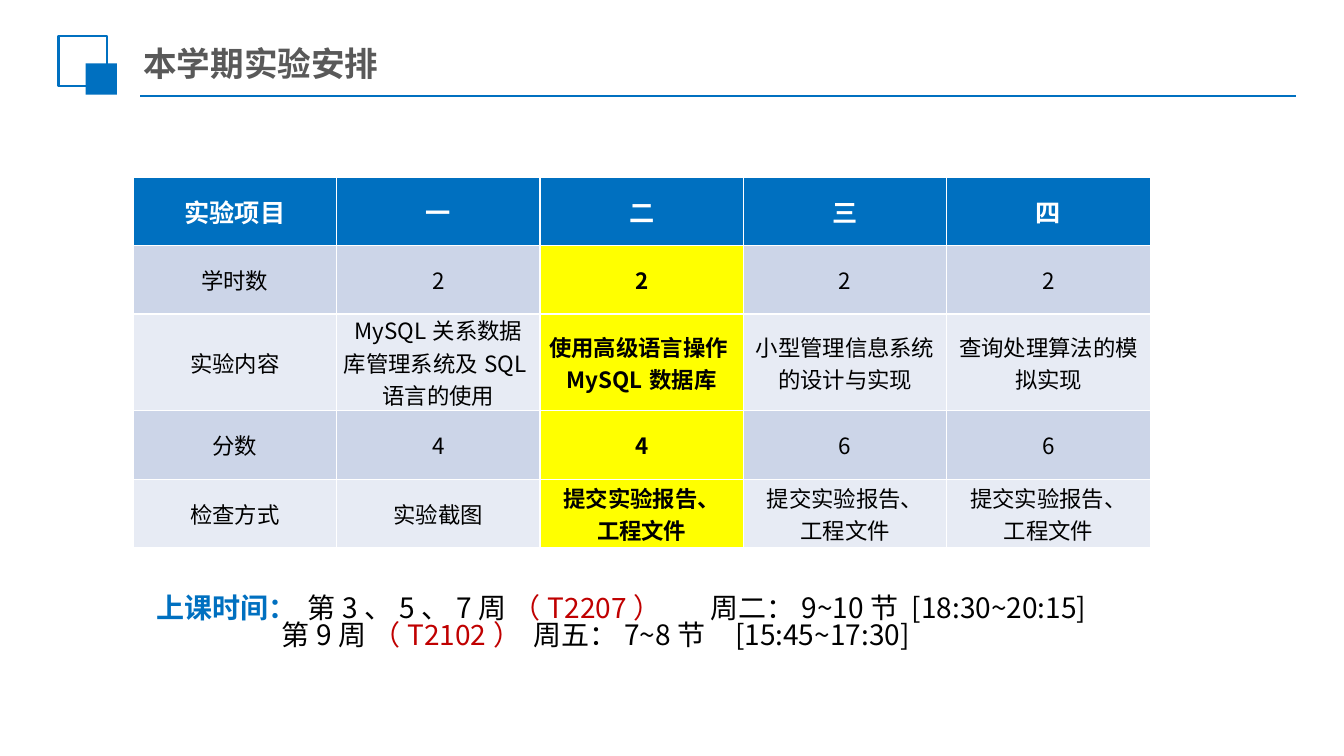
from dataclasses import dataclass

from lxml.etree import SubElement
from pptx import Presentation
from pptx.dml.color import RGBColor
from pptx.enum.shapes import MSO_CONNECTOR, MSO_SHAPE
from pptx.enum.text import MSO_ANCHOR, MSO_AUTO_SIZE, PP_ALIGN
from pptx.oxml.ns import qn
from pptx.util import Inches, Pt


@dataclass(frozen=True)
class Theme:
    font: str = "Noto Sans CJK SC"
    blue: str = "0070C0"
    red: str = "C00000"
    gray: str = "595959"
    black: str = "000000"
    white: str = "FFFFFF"
    highlight: str = "FFFF00"
    bands: tuple = ("CCD5E8", "E7EBF4")
    title_size: int = 24
    schedule_size: int = 20
    header_size: int = 18
    cell_size: int = 16


THEME = Theme()
HIGHLIGHTED_COLUMN = 2
REPORT = "提交实验报告、\n工程文件"
EXPERIMENTS = [
    ["实验项目", "一", "二", "三", "四"],
    ["学时数", "2", "2", "2", "2"],
    ["实验内容", "MySQL关系数据库管理系统及SQL语言的使用", "使用高级语言操作MySQL数据库",
     "小型管理信息系统的设计与实现", "查询处理算法的模拟实现"],
    ["分数", "4", "4", "6", "6"],
    ["检查方式", "实验截图", REPORT, REPORT, REPORT],
]
SCHEDULE = [
    (0.75, (2.33, 6.93), [("上课时间：", THEME.blue, True), ("\t第3、5、7周 ", THEME.black, False),
                          ("（T2207）", THEME.red, False),
                          ("\t周二：9~10节 [18:30~20:15]", THEME.black, False)]),
    (1.99, (4.92, 6.89), [("第9周 ", THEME.black, False), ("（T2102）", THEME.red, False),
                          ("\t周五：7~8节\t[15:45~17:30]", THEME.black, False)]),
]


def style_paragraph(paragraph, size, color, bold=False, alignment=PP_ALIGN.LEFT):
    paragraph.alignment = alignment
    font = paragraph.font
    font.size, font.bold = Pt(size), bold
    font.color.rgb = RGBColor.from_string(color)
    font.name = THEME.font
    properties = paragraph._p.pPr.find(qn("a:defRPr"))
    SubElement(properties, qn("a:ea"), typeface=THEME.font)


def place(shape, left, top, width, height):
    shape.left, shape.top = Inches(left), Inches(top)
    shape.width, shape.height = Inches(width), Inches(height)


def add_square(slide, left, top, width, height, filled):
    square = slide.shapes.add_shape(
        MSO_SHAPE.RECTANGLE, Inches(left), Inches(top), Inches(width), Inches(height))
    square.shadow.inherit = False
    blue = RGBColor.from_string(THEME.blue)
    if filled:
        square.fill.solid()
        square.fill.fore_color.rgb = blue
        square.line.fill.background()
    else:
        square.fill.background()
        square.line.color.rgb = blue
        square.line.width = Pt(1.5)


def add_title_rule(slide):
    rule = slide.shapes.add_connector(
        MSO_CONNECTOR.STRAIGHT, Inches(1.39), Inches(0.95), Inches(12.85), Inches(0.95))
    rule.line.color.rgb = RGBColor.from_string(THEME.blue)
    rule.line.width = Pt(1.25)
    SubElement(rule._element.spPr, qn("a:effectLst"))


def fill_title(title, text):
    place(title, 1.32, 0.39, 8.6, 0.48)
    frame = title.text_frame
    frame.text = text
    frame.auto_size = MSO_AUTO_SIZE.NONE
    frame.vertical_anchor = MSO_ANCHOR.MIDDLE
    style_paragraph(frame.paragraphs[0], THEME.title_size, THEME.gray, True)


def set_indent_and_tabs(paragraph, indent, tabs):
    properties = paragraph._p.get_or_add_pPr()
    properties.set("marL", str(Inches(indent)))
    properties.set("indent", "0")
    SubElement(properties, qn("a:buNone"))
    tab_list = SubElement(properties, qn("a:tabLst"))
    for position in tabs:
        SubElement(tab_list, qn("a:tab"), pos=str(Inches(position)), algn="l")


def fill_schedule(body):
    place(body, 0.65, 5.84, 10.65, 1.33)
    frame = body.text_frame
    frame.auto_size = MSO_AUTO_SIZE.NONE
    frame.margin_left = frame.margin_right = Inches(0.15)
    frame.margin_top = frame.margin_bottom = Inches(0.07)
    for index, (indent, tabs, pieces) in enumerate(SCHEDULE):
        paragraph = frame.add_paragraph() if index else frame.paragraphs[0]
        set_indent_and_tabs(paragraph, indent, tabs)
        paragraph.line_spacing = 0.83
        paragraph.space_before = Pt(0)
        style_paragraph(paragraph, THEME.schedule_size, THEME.black)
        for text, color, bold in pieces:
            run = paragraph.add_run()
            run.text = text
            run.font.bold = bold
            run.font.color.rgb = RGBColor.from_string(color)


def fill_cell(cell, text, fill, size, color, bold):
    cell.text = text
    cell.fill.solid()
    cell.fill.fore_color.rgb = RGBColor.from_string(fill)
    cell.vertical_anchor = MSO_ANCHOR.MIDDLE
    cell.margin_left = cell.margin_right = Inches(0.07)
    cell.margin_top = cell.margin_bottom = 0
    for paragraph in cell.text_frame.paragraphs:
        style_paragraph(paragraph, size, color, bold, PP_ALIGN.CENTER)


def add_experiment_table(slide):
    table = slide.shapes.add_table(
        len(EXPERIMENTS), len(EXPERIMENTS[0]),
        Inches(1.32), Inches(1.76), Inches(10.09), Inches(3.39)).table
    for row, texts in enumerate(EXPERIMENTS):
        for column, text in enumerate(texts):
            cell = table.cell(row, column)
            highlighted = column == HIGHLIGHTED_COLUMN
            if row == 0:
                fill_cell(cell, text, THEME.blue, THEME.header_size, THEME.white, True)
            else:
                fill = THEME.highlight if highlighted else THEME.bands[(row - 1) % 2]
                fill_cell(cell, text, fill, THEME.cell_size, THEME.black, highlighted)


def main():
    presentation = Presentation()
    presentation.slide_width, presentation.slide_height = Inches(13.33), Inches(7.5)
    slide = presentation.slides.add_slide(presentation.slide_layouts[1])
    add_title_rule(slide)
    add_square(slide, 0.58, 0.36, 0.48, 0.49, filled=False)
    add_square(slide, 0.85, 0.63, 0.31, 0.31, filled=True)
    fill_title(slide.shapes.title, "本学期实验安排")
    fill_schedule(slide.placeholders[1])
    add_experiment_table(slide)
    presentation.save("out.pptx")


if __name__ == "__main__":
    main()
